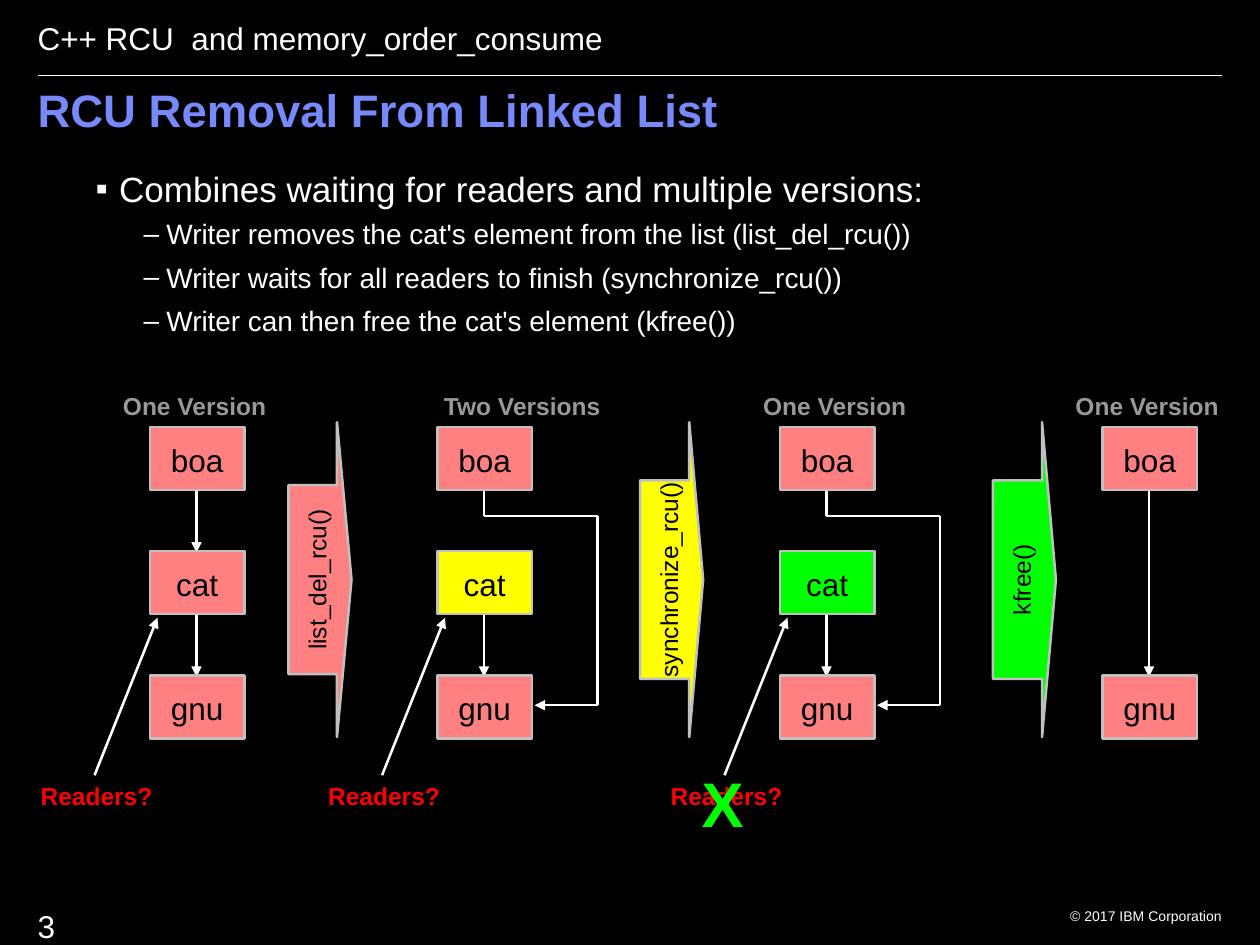
from dataclasses import dataclass
from itertools import pairwise

from lxml import etree
from pptx import Presentation
from pptx import util as u
from pptx.dml import color
from pptx.enum import shapes, text
from pptx.oxml import ns


@dataclass(frozen=True)
class Theme:
    """Colours, type sizes and line widths of the slide."""
    font: str = "Arial"
    background: str = "000000"
    ink: str = "FFFFFF"
    dark: str = "000000"
    title: str = "7889FB"
    caption: str = "999999"
    reader: str = "FF0000"
    outline: str = "C0C0C0"
    live: str = "FF8080"
    removed: str = "FFFF00"
    free: str = "00FF00"
    title_size: float = 26
    bullet_size: float = 20
    detail_size: float = 16
    body_size: float = 18
    label_size: float = 14
    footer_size: float = 8
    cross_size: float = 36
    rule_width: float = 0.75
    line_width: float = 1.45


THEME = Theme()
LEFT, CENTER, RIGHT = text.PP_ALIGN.LEFT, text.PP_ALIGN.CENTER, text.PP_ALIGN.RIGHT
NODE_WIDTH, NODE_HEIGHT, NODE_STEP = 54, 36, 71
LINK_X = 26.6


def rgb(value):
    """Return the colour for a hex string."""
    return color.RGBColor.from_string(value)


def write(paragraph, content, *, size, ink=THEME.ink, bold=False, align=LEFT, spacing=None):
    """Put formatted text in a paragraph."""
    paragraph.alignment = align
    paragraph.line_spacing = spacing
    run = paragraph.add_run()
    run.text = content
    run.font.name = THEME.font
    run.font.size = u.Pt(size)
    run.font.bold = bold
    run.font.color.rgb = rgb(ink)


def add_text(slide, box, content, *, wrap=True, **style):
    """Add a text box with one paragraph."""
    frame = slide.shapes.add_textbox(*map(u.Pt, box)).text_frame
    frame.word_wrap = wrap
    write(frame.paragraphs[0], content, **style)


def add_line(slide, start, end, *, width=THEME.line_width, arrow=False):
    """Draw a straight line, with an arrowhead at its end if asked."""
    line = slide.shapes.add_connector(
        shapes.MSO_CONNECTOR.STRAIGHT, *map(u.Pt, (*start, *end)))
    line.line.color.rgb = rgb(THEME.ink)
    line.line.width = u.Pt(width)
    if arrow:
        etree.SubElement(line.line._get_or_add_ln(), ns.qn("a:tailEnd"), type="triangle")
    etree.SubElement(line._element.spPr, ns.qn("a:effectLst"))


def add_block(slide, kind, box, content, *, fill, size, wrap=True):
    """Add an outlined preset shape with centred dark text."""
    shape = slide.shapes.add_shape(kind, *map(u.Pt, box))
    shape.shadow.inherit = False
    shape.fill.solid()
    shape.fill.fore_color.rgb = rgb(fill)
    shape.line.color.rgb = rgb(THEME.outline)
    shape.line.width = u.Pt(THEME.line_width)
    frame = shape.text_frame
    frame.word_wrap = wrap
    frame.vertical_anchor = text.MSO_ANCHOR.MIDDLE
    frame.margin_left = frame.margin_right = u.Pt(0.7)
    frame.margin_top = frame.margin_bottom = u.Pt(0.7)
    write(frame.paragraphs[0], content, size=size, ink=THEME.dark, align=CENTER, spacing=1.07)
    return shape


def add_header(slide, box):
    """Place the running head, its rule and the title."""
    left, top, width, _ = box
    add_text(slide, (left, top, 338, 29), "C++ RCU  and memory_order_consume",
             size=THEME.body_size, wrap=False)
    add_line(slide, (left + 7.2, top + 36), (left + 684, top + 36), width=THEME.rule_width)
    add_text(slide, (left, top + 39.6, width, 50.4), "RCU Removal From Linked List",
             size=THEME.title_size, ink=THEME.title, bold=True, spacing=0.9)


def add_bullet(paragraph, mark, margin, indent):
    """Give a paragraph a hanging bullet."""
    properties = paragraph._p.get_or_add_pPr()
    properties.set("marL", str(u.Pt(margin)))
    properties.set("indent", str(u.Pt(-indent)))
    bullet_color = etree.SubElement(properties, ns.qn("a:buClr"))
    etree.SubElement(bullet_color, ns.qn("a:srgbClr"), val=THEME.ink)
    etree.SubElement(properties, ns.qn("a:buFont"), typeface=THEME.font)
    etree.SubElement(properties, ns.qn("a:buChar"), char=mark)


def add_body(slide, box):
    """Place the main point and its details."""
    frame = slide.shapes.add_textbox(*map(u.Pt, box)).text_frame
    frame.word_wrap = True
    point = frame.paragraphs[0]
    add_bullet(point, "▪", 13.5, 13.5)
    point.space_after = u.Pt(0.7)
    write(point, "Combines waiting for readers and multiple versions:", size=THEME.bullet_size)
    for detail in (
        "Writer removes the cat's element from the list (list_del_rcu())",
        "Writer waits for all readers to finish (synchronize_rcu())",
        "Writer can then free the cat's element (kfree())",
    ):
        paragraph = frame.add_paragraph()
        paragraph.level = 1
        add_bullet(paragraph, "–", 40.5, 13)
        paragraph.space_before, paragraph.space_after = u.Pt(3.6), u.Pt(2.1)
        write(paragraph, detail, size=THEME.detail_size)


def add_list(slide, origin, caption, caption_left, cat=None, detour=False):
    """Place one state of the linked list, with its readers while the cat exists."""
    left, top = origin
    middle = left + LINK_X
    nodes = [("boa", 0, THEME.live), ("gnu", 2, THEME.live)]
    if cat:
        nodes.insert(1, ("cat", 1, cat))
    for (_, row, _), (_, following, _) in pairwise(nodes):
        if not (detour and row == 0):
            add_line(slide, (middle, top + row * NODE_STEP + NODE_HEIGHT),
                     (middle, top + following * NODE_STEP + 0.8), arrow=True)
    if detour:
        side = left + 91.5
        corners = [(middle, top + NODE_HEIGHT), (middle, top + 51), (side, top + 51),
                   (side, top + 159), (left + 55.5, top + 159)]
        for start, end in pairwise(corners):
            add_line(slide, start, end, arrow=end == corners[-1])
    for name, row, fill in nodes:
        add_block(slide, shapes.MSO_SHAPE.RECTANGLE,
                  (left, top + row * NODE_STEP, NODE_WIDTH, NODE_HEIGHT),
                  name, fill=fill, size=THEME.body_size)
    add_text(slide, (caption_left, top - 25.2, 126, 25), caption, size=THEME.label_size,
             ink=THEME.caption, bold=True, align=CENTER, spacing=1.07)
    if cat:
        add_text(slide, (left - 69.6, top + 199, 78.5, 24), "Readers?",
                 size=THEME.label_size, ink=THEME.reader, bold=True, wrap=False)
        add_line(slide, (left - 31.7, top + 199), (left + 4.3, top + 109), arrow=True)


def add_step(slide, box, call, fill, shaft, head):
    """Place a broad arrow pointing right, labelled along its shaft."""
    left, top, width, height = box
    turned = (left + (width - height) / 2, top + (height - width) / 2, height, width)
    arrow = add_block(slide, shapes.MSO_SHAPE.DOWN_ARROW, turned, call,
                      fill=fill, size=THEME.label_size, wrap=False)
    arrow.rotation = 270
    arrow.adjustments[0], arrow.adjustments[1] = shaft, head


def add_diagram(slide, box):
    """Place the four list states and the three steps between them."""
    left, top, _, _ = box
    for x, caption, caption_x, cat, detour in (
        (0, "One Version", -37.5, THEME.live, False),
        (164.3, "Two Versions", 149.7, THEME.removed, True),
        (360, "One Version", 328.3, THEME.free, True),
        (544.3, "One Version", 506.8, None, False),
    ):
        add_list(slide, (left + x, top), caption, left + caption_x, cat, detour)
    for x, call, fill, shaft, head in (
        (79.2, "list_del_rcu()", THEME.live, 0.6, 0.23),
        (280.1, "synchronize_rcu()", THEME.removed, 0.63, 0.22),
        (481.7, "kfree()", THEME.free, 0.63, 0.22),
    ):
        add_step(slide, (left + x, top - 2.8, 36, 180), call, fill, shaft, head)
    add_text(slide, (left + 308.2, top + 189.4, 38.2, 50.4), "X",
             size=THEME.cross_size, ink=THEME.free, bold=True, wrap=False)


def add_footer(slide, box):
    """Place the page number and the copyright line."""
    left, top, width, height = box
    add_text(slide, (left, top, 68, height), "3", size=THEME.body_size)
    add_text(slide, (left + width - 108, top, 108, 14.4), "© 2017 IBM Corporation",
             size=THEME.footer_size, align=RIGHT)


def main():
    """Build and save the slide."""
    presentation = Presentation()
    presentation.slide_width, presentation.slide_height = u.Pt(720), u.Pt(540)
    slide = presentation.slides.add_slide(presentation.slide_layouts[6])
    slide.background.fill.solid()
    slide.background.fill.fore_color.rgb = rgb(THEME.background)
    add_header(slide, (14.4, 7.2, 684, 90))
    add_body(slide, (47.5, 92, 618.5, 350))
    add_diagram(slide, (85.7, 244, 600, 240))
    add_footer(slide, (14.4, 514.8, 691, 29))
    presentation.save("out.pptx")


if __name__ == "__main__":
    main()
